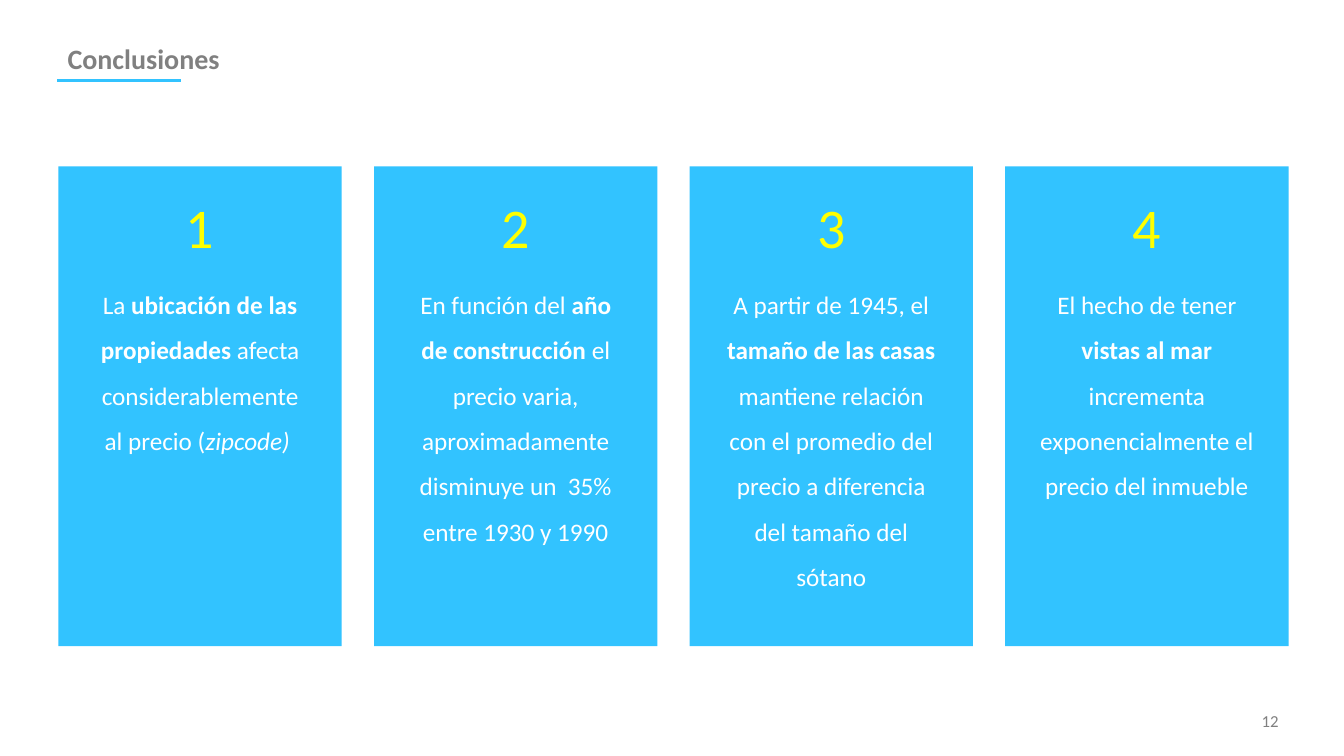
import dataclasses

import pptx
import pptx.dml.color
import pptx.enum.shapes
import pptx.enum.text
import pptx.oxml
import pptx.oxml.ns
import pptx.util

Inches = pptx.util.Inches
Align = pptx.enum.text.PP_ALIGN
Anchor = pptx.enum.text.MSO_ANCHOR


@dataclasses.dataclass(frozen=True)
class Theme:
    font: str = "Calibri"
    blue: str = "32C3FF"
    gray: str = "808080"
    yellow: str = "FFFF00"
    white: str = "FFFFFF"
    title_size: int = 20
    number_size: int = 40
    body_size: int = 18
    footer_size: int = 12


theme = Theme()

# Grid: four equal columns
margin, content_width = 0.57, 12.21
first_column, column_step = 0.58, 3.13
card_top, card_width, card_height = 1.65, 2.81, 4.76
number_width, body_width = 1.06, 2.4

# Each conclusion is a list of (text, style) runs
conclusions = [
    [("La ", ""), ("ubicación de las propiedades ", "bold"),
     ("afecta considerablemente al precio (", ""), ("zipcode) ", "italic")],
    [("En función del ", ""), ("año de construcción ", "bold"),
     ("el precio varia, aproximadamente disminuye un  35% entre 1930 y 1990", "")],
    [("A partir de 1945, el ", ""), ("tamaño de las casas ", "bold"),
     ("mantiene relación con el promedio del precio a diferencia del tamaño del sótano", "")],
    [("El hecho de tener ", ""), ("vistas al mar ", "bold"),
     ("incrementa exponencialmente el precio del inmueble", "")],
]


def write_runs(box, runs, size, color, align, spacing=1.0, anchor=Anchor.TOP):
    frame = box.text_frame
    frame.word_wrap = True
    frame.vertical_anchor = anchor
    para = frame.paragraphs[0]
    para.alignment = align
    para.line_spacing = spacing
    for text, style in runs:
        span = para.add_run()
        span.text = text
        span.font.name = theme.font
        span.font.size = pptx.util.Pt(size)
        span.font.color.rgb = pptx.dml.color.RGBColor.from_string(color)
        span.font.bold = style == "bold"
        span.font.italic = style == "italic"
    return frame


def add_box(page, left, top, width, height):
    return page.shapes.add_textbox(Inches(left), Inches(top), Inches(width), Inches(height))


deck = pptx.Presentation()
deck.slide_width, deck.slide_height = Inches(13.33), Inches(7.5)
page = deck.slides.add_slide(deck.slide_layouts.get_by_name("Title Only"))
blue = pptx.dml.color.RGBColor.from_string(theme.blue)

# Title and its underline
underline = page.shapes.add_connector(
    pptx.enum.shapes.MSO_CONNECTOR.STRAIGHT,
    Inches(margin), Inches(0.8), Inches(1.8), Inches(0.8))
underline.line.color.rgb = blue
underline.line.width = pptx.util.Pt(2.25)
underline._element.spPr.append(pptx.oxml.parse_xml(
    f"<a:effectLst {pptx.oxml.ns.nsdecls('a')}/>"))

title = page.shapes.title
title.left, title.top = Inches(margin), Inches(0.4)
title.width, title.height = Inches(content_width), Inches(0.4)
title_frame = write_runs(title, [("Conclusiones", "bold")], theme.title_size, theme.gray,
                         Align.LEFT, 0.9, Anchor.MIDDLE)
title_frame.auto_size = pptx.enum.text.MSO_AUTO_SIZE.NONE

# Numbered cards
for index, runs in enumerate(conclusions):
    left = first_column + index * column_step
    card = page.shapes.add_shape(
        pptx.enum.shapes.MSO_SHAPE.RECTANGLE,
        Inches(left), Inches(card_top), Inches(card_width), Inches(card_height))
    card.shadow.inherit = False
    card.fill.solid()
    card.fill.fore_color.rgb = blue
    card.line.fill.background()

    number = add_box(page, left + (card_width - number_width) / 2, 1.86, number_width, 0.77)
    write_runs(number, [(str(index + 1), "")], theme.number_size, theme.yellow, Align.CENTER)

    body = add_box(page, left + (card_width - body_width) / 2, 2.67, body_width, 3.32)
    frame = write_runs(body, runs, theme.body_size, theme.white, Align.CENTER, 1.5)
    frame.margin_left = frame.margin_right = Inches(0.12)

# Page number
footer = add_box(page, margin + content_width - 3, 6.95, 3, 0.4)
write_runs(footer, [("12", "")], theme.footer_size, theme.gray, Align.RIGHT,
           anchor=Anchor.MIDDLE)

deck.save("out.pptx")
